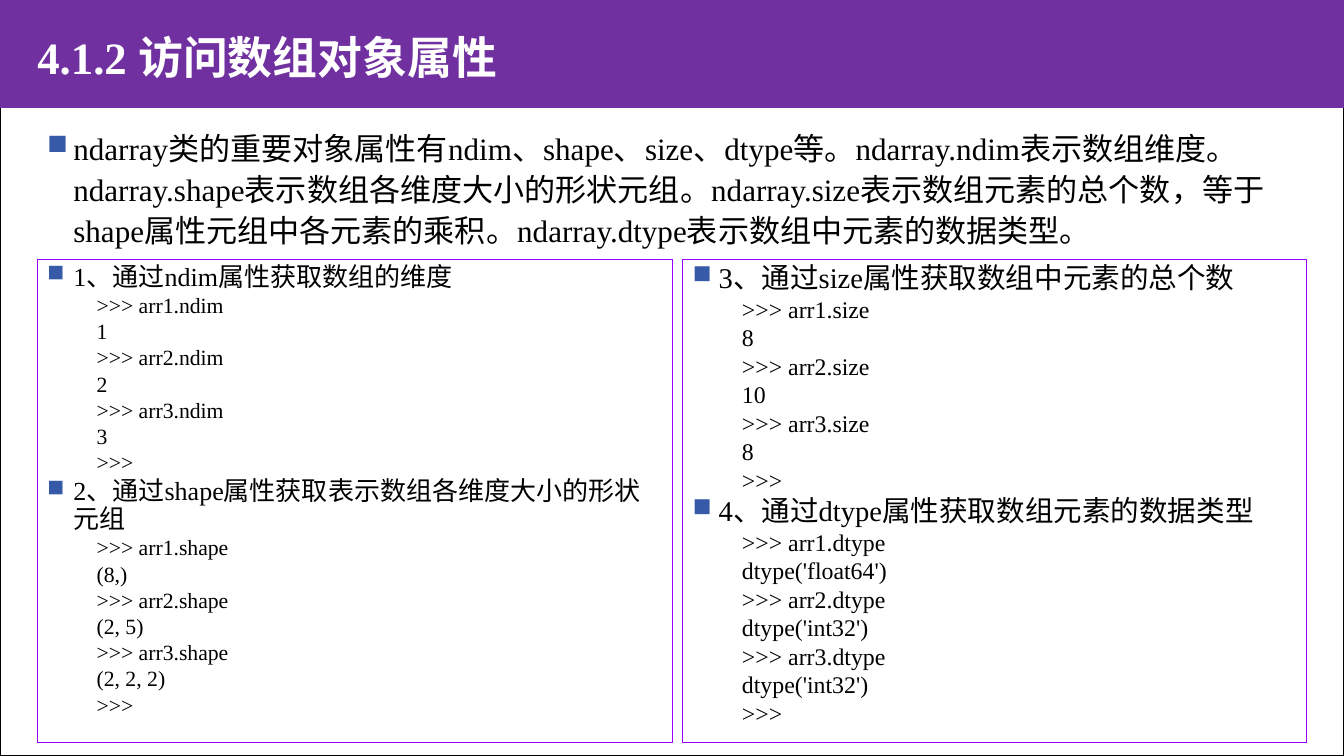
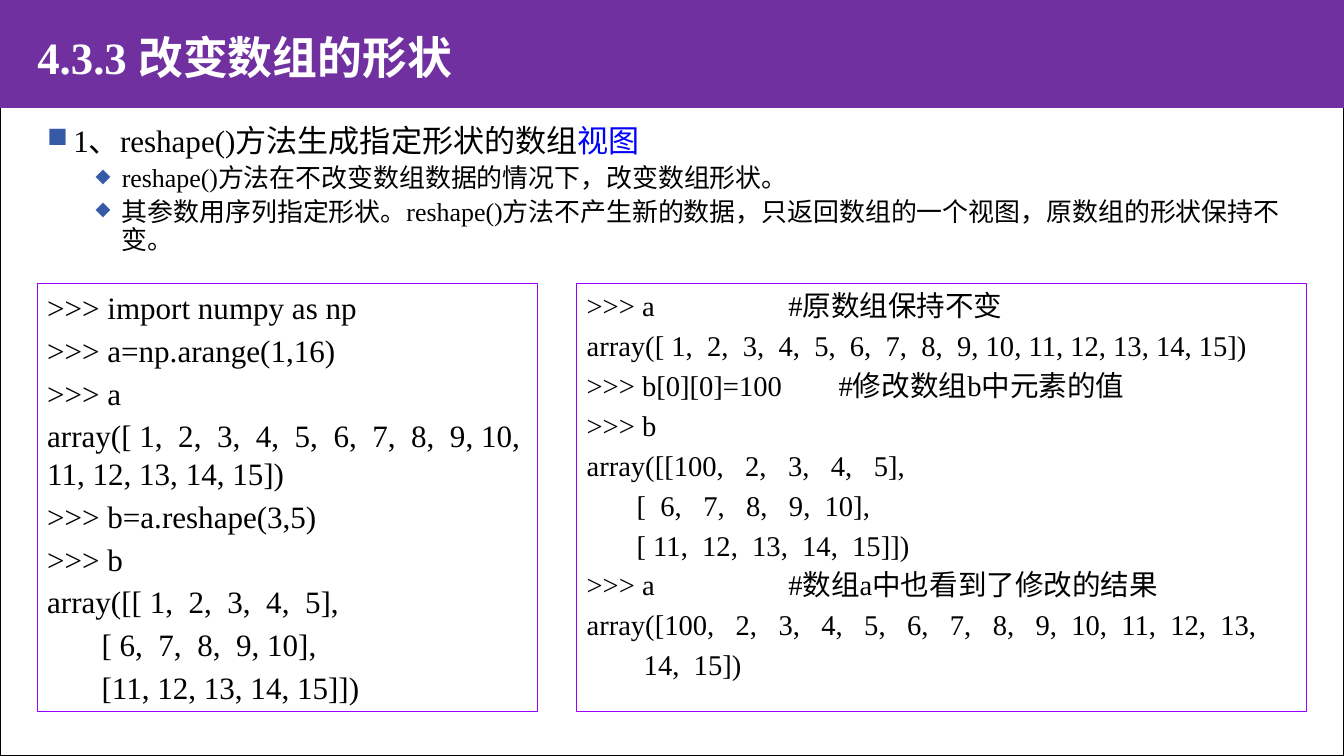
from lxml import etree
from pptx import Presentation
from pptx.dml.color import RGBColor
from pptx.enum.shapes import MSO_SHAPE
from pptx.enum.text import MSO_ANCHOR
from pptx.oxml.ns import qn
from pptx.util import Inches, Pt

# Shared look
FONT = "Times New Roman"
BLACK, WHITE, PURPLE = "000000", "FFFFFF", "7030A0"
BORDER, BULLET, HIGHLIGHT = "9900FF", "365AA8", "0000FF"
SLIDE_W, SLIDE_H = 13.33, 7.5
BAND_H = 1.07
LEFT, CONTENT_W, INTRO_TOP = 0.37, 12.6, 1.2
TITLE_W = 9.53
INSETS = (0.1, 0.05, 0.1, 0.05)

# Paragraph styles: lengths in inches, spacing in points, bullet size in percent
STYLES = {
    "title": dict(line=1.1, before=0, after=0),
    "intro": dict(left=0.26, hang=0.26, line=1.1, before=3, after=1, bullet=("■", 90)),
    "topic": dict(left=0.26, hang=0.26, line=0.9, before=3, after=1, bullet=("■", 90)),
    "point": dict(level=1, left=0.74, hang=0.26, line=0.9, before=3, after=1, bullet=("◆", 75)),
    "heading": dict(left=0.26, hang=0.26, line=0.9, before=1, after=1, bullet=("■", 90)),
    "reply": dict(level=1, left=0.49, line=0.9, before=1, after=1),
    "code": dict(line=1.0, before=3, after=1),
}

# Content: paragraphs are (style, text) or (style, text, highlighted ending)
SLIDES = [
    {
        "title": "4.1.2 访问数组对象属性",
        "intro_height": 1.37,
        "intro": [
            ("intro", "ndarray类的重要对象属性有ndim、shape、size、dtype等。"
                      "ndarray.ndim表示数组维度。ndarray.shape表示数组各维度大小的形状元组。"
                      "ndarray.size表示数组元素的总个数，等于shape属性元组中各元素的乘积。"
                      "ndarray.dtype表示数组中元素的数据类型。"),
        ],
        "panel_top": 2.57, "panel_height": 4.8, "gap": 0.1,
        "panels": [
            {"width": 6.3, "sizes": {"heading": 18.6, "reply": 15.5}, "sections": [
                ("1、通过ndim属性获取数组的维度",
                 [">>> arr1.ndim", "1", ">>> arr2.ndim", "2", ">>> arr3.ndim", "3", ">>>"]),
                ("2、通过shape属性获取表示数组各维度大小的形状元组",
                 [">>> arr1.shape", "(8,)", ">>> arr2.shape", "(2, 5)",
                  ">>> arr3.shape", "(2, 2, 2)", ">>>"]),
            ]},
            {"width": 6.19, "sizes": {"heading": 20.4, "reply": 17}, "sections": [
                ("3、通过size属性获取数组中元素的总个数",
                 [">>> arr1.size", "8", ">>> arr2.size", "10", ">>> arr3.size", "8", ">>>"]),
                ("4、通过dtype属性获取数组元素的数据类型",
                 [">>> arr1.dtype", "dtype('float64')", ">>> arr2.dtype", "dtype('int32')",
                  ">>> arr3.dtype", "dtype('int32')", ">>>"]),
            ]},
        ],
    },
    {
        "title": "4.3.3 改变数组的形状",
        "intro_height": 1.53,
        "intro": [
            ("topic", "1、reshape()方法生成指定形状的数组", "视图"),
            ("point", "reshape()方法在不改变数组数据的情况下，改变数组形状。"),
            ("point", "其参数用序列指定形状。reshape()方法不产生新的数据，"
                      "只返回数组的一个视图，原数组的形状保持不变。"),
        ],
        "panel_top": 2.81, "panel_height": 4.25, "gap": 0.39,
        "panels": [
            {"width": 4.96, "sizes": {"code": 22.2}, "code": [
                ">>> import numpy as np",
                ">>> a=np.arange(1,16)",
                ">>> a",
                "array([ 1,  2,  3,  4,  5,  6,  7,  8,  9, 10, 11, 12, 13, 14, 15])",
                ">>> b=a.reshape(3,5)",
                ">>> b",
                "array([[ 1,  2,  3,  4,  5],",
                "       [ 6,  7,  8,  9, 10],",
                "       [11, 12, 13, 14, 15]])",
            ]},
            {"width": 7.24, "sizes": {"code": 20.4}, "code": [
                ">>> a\t\t\t#原数组保持不变",
                "array([ 1,  2,  3,  4,  5,  6,  7,  8,  9, 10, 11, 12, 13, 14, 15])",
                ">>> b[0][0]=100\t\t#修改数组b中元素的值",
                ">>> b",
                "array([[100,   2,   3,   4,   5],",
                "       [  6,   7,   8,   9,  10],",
                "       [ 11,  12,  13,  14,  15]])",
                ">>> a\t\t\t#数组a中也看到了修改的结果",
                "array([100,   2,   3,   4,   5,   6,   7,   8,   9,  10,  11,  12,  13,",
                "        14,  15])",
            ]},
        ],
    },
]
INTRO_SIZES = {"intro": 22.2, "topic": 22.2, "point": 18.5}


def rgb(value):
    return RGBColor.from_string(value)


def add_rect(slide, width, height, fill=None, line=None):
    rect = slide.shapes.add_shape(MSO_SHAPE.RECTANGLE, 0, 0, Inches(width), Inches(height))
    rect.shadow.inherit = False
    if fill:
        rect.fill.solid()
        rect.fill.fore_color.rgb = rgb(fill)
    else:
        rect.fill.background()
    if line:
        rect.line.color.rgb = rgb(line)
        rect.line.width = Pt(1)
    else:
        rect.line.fill.background()


def style_paragraph(paragraph, style, first):
    properties = paragraph._p.get_or_add_pPr()
    properties.set("marL", str(Inches(style.get("left", 0))))
    properties.set("indent", str(-Inches(style.get("hang", 0))))
    if "bullet" in style:
        char, percent = style["bullet"]
        color = etree.SubElement(properties, qn("a:buClr"))
        etree.SubElement(color, qn("a:srgbClr"), val=BULLET)
        etree.SubElement(properties, qn("a:buSzPct"), val=str(percent * 1000))
        etree.SubElement(properties, qn("a:buChar"), char=char)
    formats = {
        "level": style.get("level", 0),
        "line_spacing": style["line"],
        "space_before": Pt(0 if first else style["before"]),
        "space_after": Pt(style["after"]),
    }
    for name, value in formats.items():
        setattr(paragraph, name, value)


def add_text(slide, box, paragraphs, sizes, color=BLACK, bold=False,
             insets=INSETS, anchor=MSO_ANCHOR.TOP, border=None):
    text_box = slide.shapes.add_textbox(*map(Inches, box))
    if border:
        text_box.line.color.rgb = rgb(border)
        text_box.line.width = Pt(0.75)
    frame = text_box.text_frame
    frame.word_wrap = True
    frame.vertical_anchor = anchor
    for side, inset in zip(("left", "top", "right", "bottom"), insets):
        setattr(frame, f"margin_{side}", Inches(inset))
    for index, (kind, *parts) in enumerate(paragraphs):
        paragraph = frame.add_paragraph() if index else frame.paragraphs[0]
        style_paragraph(paragraph, STYLES[kind], first=index == 0)
        for part, part_color in zip(parts, (color, HIGHLIGHT)):
            run = paragraph.add_run()
            run.text = part
            for name, value in {"name": FONT, "size": Pt(sizes[kind]), "bold": bold}.items():
                setattr(run.font, name, value)
            run.font.color.rgb = rgb(part_color)


def panel_paragraphs(panel):
    paragraphs = [("code", line) for line in panel.get("code", [])]
    for heading, replies in panel.get("sections", []):
        paragraphs.append(("heading", heading))
        paragraphs += [("reply", line) for line in replies]
    return paragraphs


def build_slide(deck, content):
    slide = deck.slides.add_slide(deck.slide_layouts[6])
    # Page frame and title band
    add_rect(slide, SLIDE_W, SLIDE_H, line=BLACK)
    add_rect(slide, SLIDE_W, BAND_H, fill=PURPLE)
    add_text(slide, (LEFT, 0, TITLE_W, BAND_H), [("title", content["title"])], {"title": 32},
             color=WHITE, bold=True, insets=(0, 0, 0, 0), anchor=MSO_ANCHOR.MIDDLE)
    # Introduction
    add_text(slide, (LEFT, INTRO_TOP, CONTENT_W, content["intro_height"]),
             content["intro"], INTRO_SIZES)
    # Code panels, side by side
    left = LEFT
    for panel in content["panels"]:
        box = (left, content["panel_top"], panel["width"], content["panel_height"])
        add_text(slide, box, panel_paragraphs(panel), panel["sizes"], border=BORDER)
        left += panel["width"] + content["gap"]


def main():
    deck = Presentation()
    deck.slide_width, deck.slide_height = Inches(SLIDE_W), Inches(SLIDE_H)
    for content in SLIDES:
        build_slide(deck, content)
    deck.save("out.pptx")


if __name__ == "__main__":
    main()
